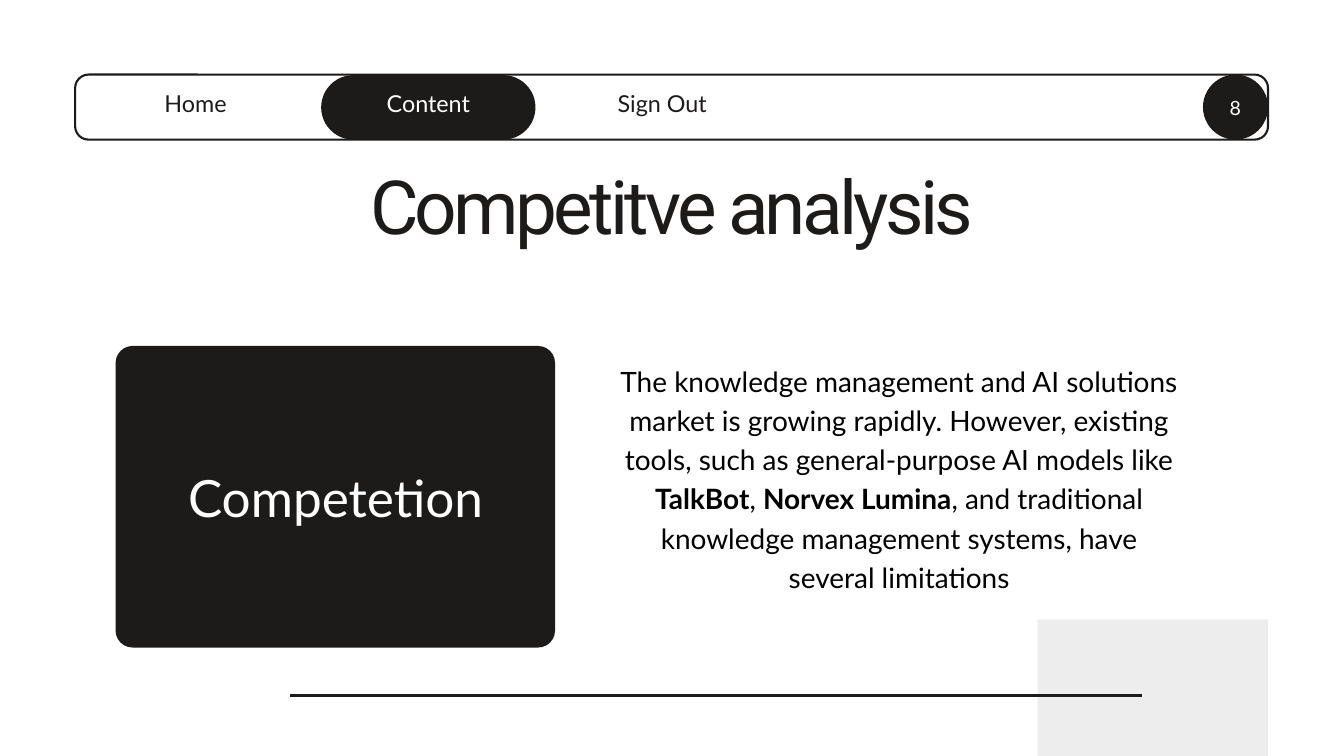
from dataclasses import dataclass

from pptx import Presentation
from pptx.dml.color import RGBColor
from pptx.enum.shapes import MSO_CONNECTOR, MSO_SHAPE
from pptx.enum.text import MSO_ANCHOR, PP_ALIGN
from pptx.oxml.ns import qn
from pptx.util import Cm, Pt

ROUNDED = MSO_SHAPE.ROUNDED_RECTANGLE
OVAL = MSO_SHAPE.OVAL
RECTANGLE = MSO_SHAPE.RECTANGLE
STRAIGHT = MSO_CONNECTOR.STRAIGHT
CENTER = PP_ALIGN.CENTER
TOP, MIDDLE = MSO_ANCHOR.TOP, MSO_ANCHOR.MIDDLE

COLORS = {"ink": "1D1B1A", "white": "FFFFFF", "black": "000000", "grey": "EDEDED"}
PAGE_WIDTH, PAGE_HEIGHT = 50.8, 28.58


@dataclass
class Box:
    """Position and size in centimetres."""
    left: float
    top: float
    width: float
    height: float

    def lengths(self) -> tuple:
        return Cm(self.left), Cm(self.top), Cm(self.width), Cm(self.height)


@dataclass
class TextStyle:
    size: float
    leading: float
    color: str
    font: str = "Lato"
    inset: float = 0
    anchor: MSO_ANCHOR = TOP
    spacing: int = 0  # hundredths of a point


@dataclass
class Tab:
    label: str
    pill: Box
    label_box: Box
    fill: str
    text_color: str


def rgb(name: str) -> RGBColor:
    return RGBColor.from_string(COLORS[name])


def add_panel(page, kind, box: Box, fill: str, corner: float | None = None,
              outline: float = 0) -> None:
    """Draw a filled shape; corner is the radius in centimetres."""
    shape = page.shapes.add_shape(kind, *box.lengths())
    shape.shadow.inherit = False
    shape.fill.solid()
    shape.fill.fore_color.rgb = rgb(fill)
    if outline:
        shape.line.color.rgb = rgb("ink")
        shape.line.width = Pt(outline)
    else:
        shape.line.fill.background()
    if corner is not None:
        shape.adjustments[0] = corner / min(box.width, box.height)


def add_text(page, box: Box, spans: list[tuple[str, bool]], style: TextStyle) -> None:
    """Write one centred paragraph of (text, bold) spans."""
    frame = page.shapes.add_textbox(*box.lengths()).text_frame
    frame.word_wrap = True
    frame.vertical_anchor = style.anchor
    frame.margin_left = frame.margin_right = Cm(style.inset)
    frame.margin_top = frame.margin_bottom = Cm(style.inset)
    para = frame.paragraphs[0]
    para.alignment = CENTER
    para.line_spacing = Pt(style.leading)
    para.font.name = style.font
    para.font.size = Pt(style.size)
    para.font.color.rgb = rgb(style.color)
    for text, bold in spans:
        span = para.add_run()
        span.text = text
        if bold:
            span.font.bold = True
        if style.spacing:
            span.font._element.set("spc", str(style.spacing))


def add_rule(page, left: float, right: float, y: float, width: float) -> None:
    rule = page.shapes.add_connector(STRAIGHT, Cm(left), Cm(y), Cm(right), Cm(y))
    rule.line.color.rgb = rgb("ink")
    rule.line.width = Pt(width)
    properties = rule._element.spPr
    properties.append(properties.makeelement(qn("a:effectLst"), {}))


def add_tab(page, tab: Tab) -> None:
    add_panel(page, ROUNDED, tab.pill, tab.fill, corner=tab.pill.height / 2)
    style = TextStyle(25, 35, tab.text_color, inset=0.15, anchor=MIDDLE)
    add_text(page, tab.label_box, [(tab.label, False)], style)


TABS = [
    Tab("Home", Box(3.4, 3.02, 7.98, 2.08), Box(3.4, 2.51, 7.98, 2.57), "white", "ink"),
    Tab("Content", Box(12.14, 2.84, 8.1, 2.44), Box(12.14, 2.36, 8.1, 2.92), "ink", "white"),
    Tab("Sign Out", Box(20.98, 3.02, 8.1, 2.08), Box(20.98, 2.51, 8.1, 2.57), "white", "ink"),
]

BODY = [
    ("The knowledge management and AI solutions market is growing rapidly. However, "
     "existing tools, such as general-purpose AI models like ", False),
    ("TalkBot", True),
    (", ", False),
    ("Norvex Lumina", True),
    (", and traditional knowledge management systems, have several limitations", False),
]


def main() -> None:
    deck = Presentation()
    deck.slide_width, deck.slide_height = Cm(PAGE_WIDTH), Cm(PAGE_HEIGHT)
    page = deck.slides.add_slide(deck.slide_layouts[6])

    # Navigation bar with tabs and page number
    add_panel(page, ROUNDED, Box(2.84, 2.82, 45.09, 2.46), "white", corner=0.51, outline=2.25)
    for tab in TABS:
        add_tab(page, tab)
    add_panel(page, OVAL, Box(45.47, 2.82, 2.46, 2.46), "ink")
    add_text(page, Box(45.69, 2.9, 2.01, 2.16), [("8", False)],
             TextStyle(21, 29.4, "white", inset=0.2, anchor=MIDDLE))

    # Title
    add_text(page, Box(8.41, 6.88, 33.96, 2.77), [("Competitve analysis", False)],
             TextStyle(80, 72, "ink", font="Roboto", spacing=-400))

    # Corner block and bottom rule
    block_top = 23.42
    add_panel(page, RECTANGLE, Box(39.22, block_top, 8.71, PAGE_HEIGHT - block_top), "grey")
    add_rule(page, 10.97, 43.18, 26.29, 3)

    # Topic card
    add_panel(page, ROUNDED, Box(4.37, 13.08, 16.61, 11.4), "ink", corner=0.64)
    add_text(page, Box(5.23, 17.25, 14.91, 2.59), [("Competetion", False)],
             TextStyle(55, 77, "white"))

    # Body text
    add_text(page, Box(23.24, 13.56, 21.49, 10.13), BODY, TextStyle(30, 42, "black"))

    deck.save("out.pptx")


if __name__ == "__main__":
    main()
